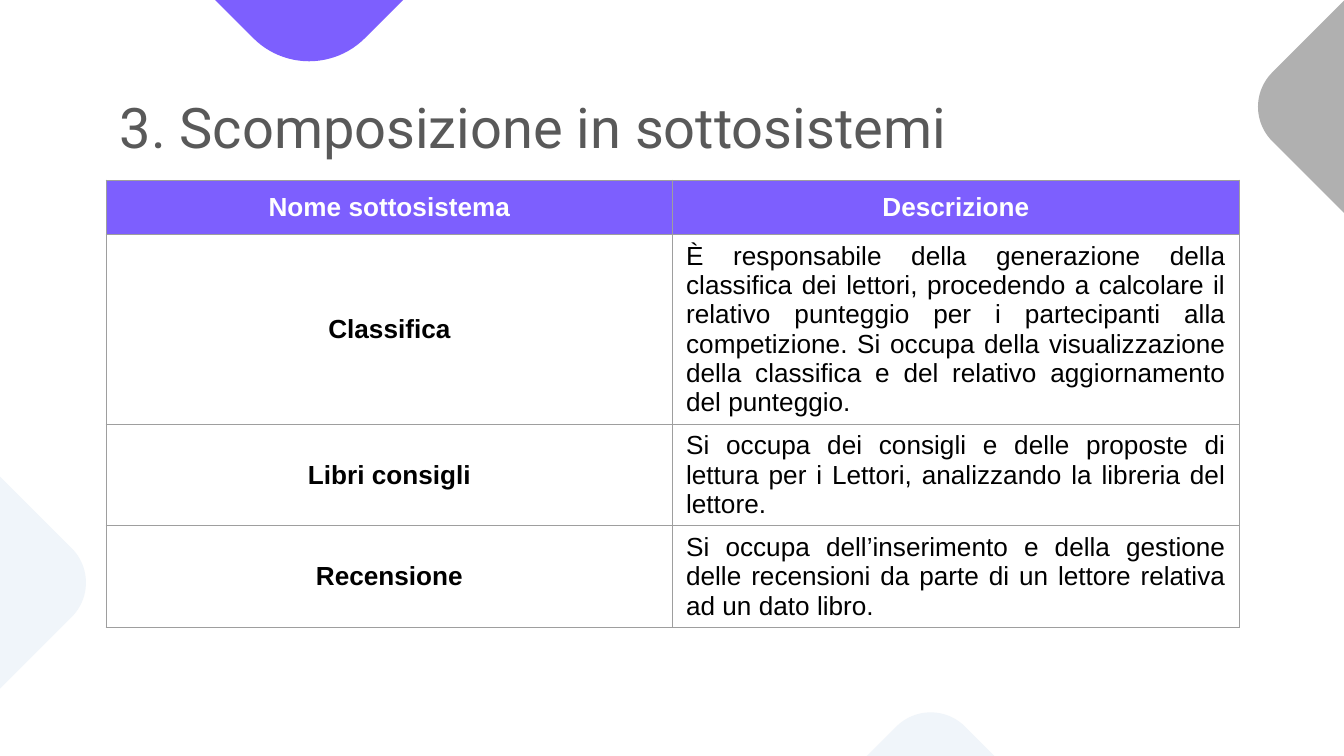
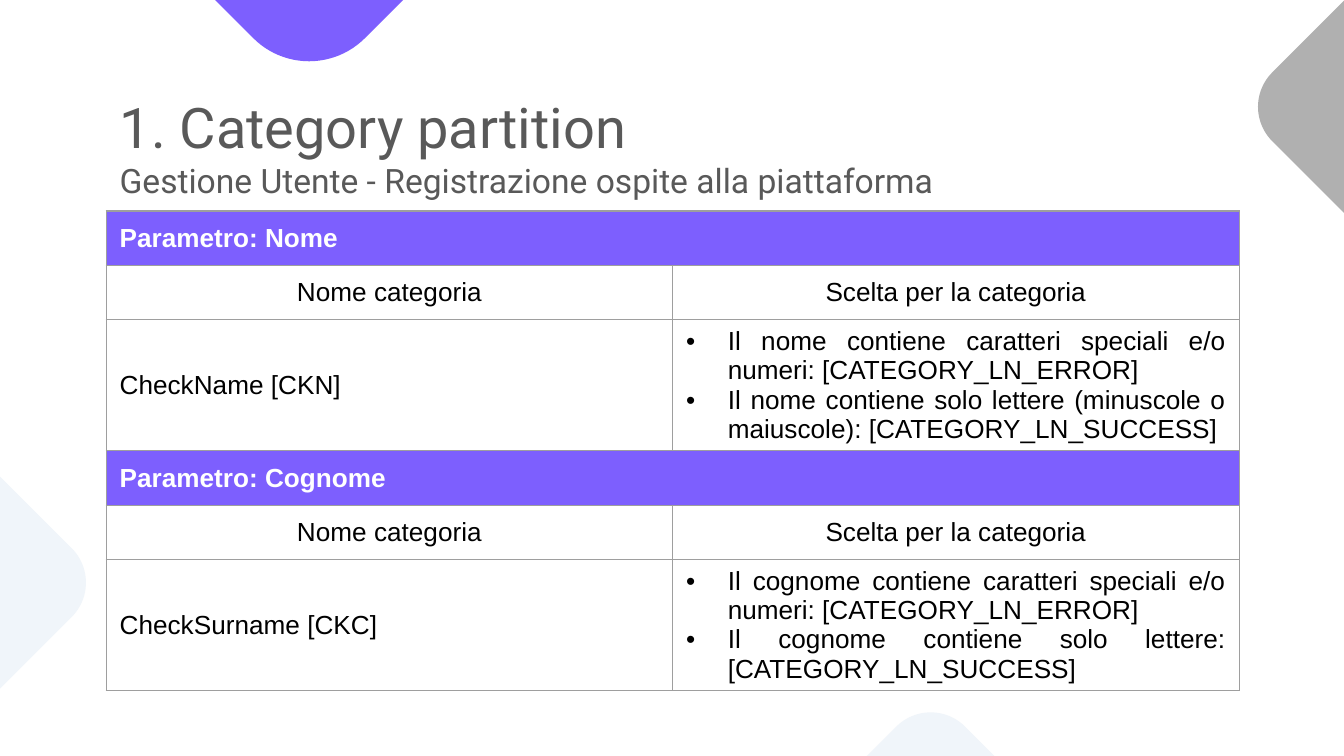
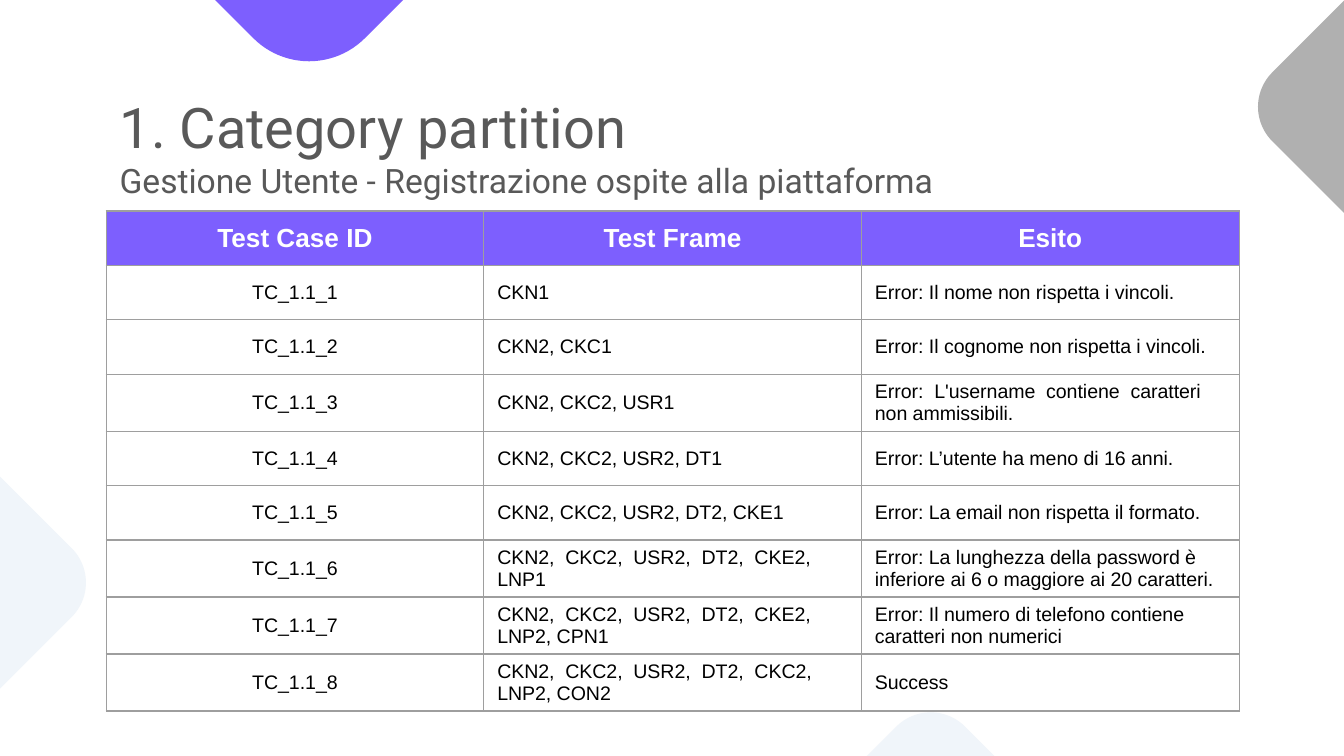
from dataclasses import dataclass
from typing import NamedTuple

from lxml import etree
from pptx import Presentation
from pptx import util as u
from pptx.dml.color import RGBColor
from pptx.enum import shapes, text
from pptx.oxml import ns

COLORS = {
    "violet": "7D5FFE",
    "grey": "B0B0B0",
    "mist": "F0F5FA",
    "title": "595959",
    "border": "9E9E9E",
    "white": "FFFFFF",
    "black": "000000",
}
TITLE_FONT, TABLE_FONT = "Roboto", "Arial"
SLIDE_WIDTH = u.Inches(10)
SLIDE_HEIGHT = SLIDE_WIDTH * 9 // 16
LEFT, TITLE_TOP, WIDTH = u.Inches(0.79), u.Inches(0.59), u.Inches(8.43)
ROW_HEIGHT = u.Inches(0.81) // 2
BULLET_INDENT = u.Inches(0.31)
CENTER, START, JUSTIFY = text.PP_ALIGN.CENTER, text.PP_ALIGN.LEFT, text.PP_ALIGN.JUSTIFY


class Diamond(NamedTuple):
    left: float
    top: float
    side: float
    color: str


class Look(NamedTuple):
    align: text.PP_ALIGN
    bold: bool = False
    color: str = "black"
    fill: str = ""
    size: float = 14
    bulleted: bool = False


class Entry(NamedTuple):
    look: Look
    lines: tuple[str, ...]


@dataclass
class Page:
    title: str
    subtitle: str
    title_height: float
    table_top: float
    columns: int
    rows: list[list[Entry]]


DIAMONDS = [
    Diamond(0.54, -3.55, 3.52, "violet"),
    Diamond(9.66, -0.29, 2.17, "grey"),
    Diamond(-1.83, 3.25, 2.17, "mist"),
    Diamond(5.84, 5.6, 2.17, "mist"),
]

HEADER = Look(CENTER, True, "white", "violet")
PARAMETER = HEADER._replace(align=START)
NAME = Look(CENTER, True)
DESCRIPTION = Look(JUSTIFY)
CATEGORY_HEADING = Look(CENTER)
CATEGORY = Look(START)
CHOICES = Look(JUSTIFY, bulleted=True)
CASE_ID = Look(CENTER, size=10.5)
CASE_DETAIL = Look(START, size=10.5)

SUBSYSTEMS = [
    ("Classifica",
     "È responsabile della generazione della classifica dei lettori, procedendo a "
     "calcolare il relativo punteggio per i partecipanti alla competizione. Si occupa "
     "della visualizzazione della classifica e del relativo aggiornamento del punteggio."),
    ("Libri consigli",
     "Si occupa dei consigli e delle proposte di lettura per i Lettori, analizzando la "
     "libreria del lettore."),
    ("Recensione",
     "Si occupa dell’inserimento e della gestione delle recensioni da parte di un lettore "
     "relativa ad un dato libro."),
]

PARAMETERS = [
    ("Nome", "CheckName [CKN]",
     ("Il nome contiene caratteri speciali e/o numeri: [CATEGORY_LN_ERROR]",
      "Il nome contiene solo lettere (minuscole o maiuscole): [CATEGORY_LN_SUCCESS]")),
    ("Cognome", "CheckSurname [CKC]",
     ("Il cognome contiene caratteri speciali e/o numeri: [CATEGORY_LN_ERROR]",
      "Il cognome contiene solo lettere: [CATEGORY_LN_SUCCESS]")),
]

TEST_CASES = [
    ("CKN1", "Error: Il nome non rispetta i vincoli."),
    ("CKN2, CKC1", "Error: Il cognome non rispetta i vincoli."),
    ("CKN2, CKC2, USR1", "Error:  L'username  contiene  caratteri  non ammissibili."),
    ("CKN2, CKC2, USR2, DT1", "Error: L’utente ha meno di 16 anni."),
    ("CKN2, CKC2, USR2, DT2, CKE1", "Error: La email non rispetta il formato."),
    ("CKN2,  CKC2,  USR2,  DT2,  CKE2, LNP1",
     "Error: La lunghezza della password è inferiore ai 6 o maggiore ai 20 caratteri."),
    ("CKN2,  CKC2,  USR2,  DT2,  CKE2, LNP2, CPN1",
     "Error: Il numero di telefono contiene caratteri non numerici"),
    ("CKN2,  CKC2,  USR2,  DT2,  CKC2, LNP2, CON2", "Success"),
]


def entries(looks: list[Look], *words: str) -> list[Entry]:
    return [Entry(look, (word,)) for look, word in zip(looks, words)]


def subsystem_rows() -> list[list[Entry]]:
    heading = entries([HEADER] * 2, "Nome sottosistema", "Descrizione")
    return [heading] + [entries([NAME, DESCRIPTION], *pair) for pair in SUBSYSTEMS]


def parameter_rows() -> list[list[Entry]]:
    rows = []
    for parameter, category, choices in PARAMETERS:
        rows += [
            entries([PARAMETER], f"Parametro: {parameter}"),
            entries([CATEGORY_HEADING] * 2, "Nome categoria", "Scelta per la categoria"),
            [Entry(CATEGORY, (category,)), Entry(CHOICES, choices)],
        ]
    return rows


def test_case_rows() -> list[list[Entry]]:
    heading = entries([HEADER] * 3, "Test Case ID", "Test Frame", "Esito")
    looks = [CASE_ID, CASE_DETAIL, CASE_DETAIL]
    return [heading] + [
        entries(looks, f"TC_1.1_{number}", frame, outcome)
        for number, (frame, outcome) in enumerate(TEST_CASES, 1)
    ]


def rgb(name: str) -> RGBColor:
    return RGBColor.from_string(COLORS[name])


def add_color(parent, name: str) -> None:
    etree.SubElement(parent, ns.qn("a:srgbClr"), val=COLORS[name])


def decorate_master(deck, slide) -> None:
    tree = deck.slide_master.shapes.element
    for order, diamond in enumerate(DIAMONDS):
        side = u.Inches(diamond.side)
        shape = slide.shapes.add_shape(
            shapes.MSO_SHAPE.ROUNDED_RECTANGLE,
            u.Inches(diamond.left), u.Inches(diamond.top), side, side)
        shape.rotation = 315
        shape.shadow.inherit = False
        shape.fill.solid()
        shape.fill.fore_color.rgb = rgb(diamond.color)
        shape.line.fill.background()
        shape.element.nvSpPr.cNvPr.set("id", str(100 + order))
        tree.insert(2 + order, shape.element)


def write_title(slide, page: Page) -> None:
    title = slide.shapes.title
    title.left, title.top = LEFT, TITLE_TOP
    title.width, title.height = WIDTH, u.Inches(page.title_height)
    frame = title.text_frame
    frame.word_wrap = True
    frame.auto_size = text.MSO_AUTO_SIZE.NONE
    frame.vertical_anchor = text.MSO_ANCHOR.TOP
    frame.margin_left = frame.margin_right = u.Inches(0.1)
    frame.margin_top = frame.margin_bottom = u.Inches(0.1)
    paragraph = frame.paragraphs[0]
    paragraph.alignment = START
    paragraph.font.name = TITLE_FONT
    paragraph.font.size = u.Pt(30)
    paragraph.font.color.rgb = rgb("title")
    paragraph.add_run().text = page.title
    if page.subtitle:
        paragraph.add_line_break()
        subtitle = paragraph.add_run()
        subtitle.text = page.subtitle
        subtitle.font.size = u.Pt(18)


def add_bullet(paragraph) -> None:
    properties = paragraph._p.get_or_add_pPr()
    properties.set("marL", str(BULLET_INDENT))
    properties.set("indent", str(-BULLET_INDENT))
    marks = [etree.Element(ns.qn("a:buClr")),
             etree.Element(ns.qn("a:buFont"), typeface=TABLE_FONT),
             etree.Element(ns.qn("a:buChar"), char="•")]
    add_color(marks[0], "black")
    for position, mark in enumerate(marks):
        properties.insert(position, mark)


def style_cell(cell, look: Look) -> None:
    properties = cell._tc.get_or_add_tcPr()
    for side in ("a:lnL", "a:lnR", "a:lnT", "a:lnB"):
        border = etree.SubElement(properties, ns.qn(side), w=str(u.Pt(0.75)))
        add_color(etree.SubElement(border, ns.qn("a:solidFill")), "border")
    if look.fill:
        cell.fill.solid()
        cell.fill.fore_color.rgb = rgb(look.fill)
    else:
        cell.fill.background()
    cell.vertical_anchor = text.MSO_ANCHOR.MIDDLE


def write_cell(cell, entry: Entry) -> None:
    look = entry.look
    cell.text = "\n".join(entry.lines)
    for paragraph in cell.text_frame.paragraphs:
        paragraph.alignment = look.align
        if look.bulleted:
            add_bullet(paragraph)
        paragraph.font.name = TABLE_FONT
        paragraph.font.size = u.Pt(look.size)
        paragraph.font.bold = look.bold
        paragraph.font.color.rgb = rgb(look.color)


def draw_table(slide, page: Page) -> None:
    count = len(page.rows)
    table = slide.shapes.add_table(
        count, page.columns, LEFT, u.Inches(page.table_top),
        WIDTH, ROW_HEIGHT * count).table
    table.first_row = table.horz_banding = False
    for row_index, row in enumerate(page.rows):
        cells = [table.cell(row_index, column) for column in range(page.columns)]
        for column, cell in enumerate(cells):
            style_cell(cell, row[min(column, len(row) - 1)].look)
        if len(row) == 1:
            cells[0].merge(cells[-1])
        for cell, entry in zip(cells, row):
            write_cell(cell, entry)


def main() -> None:
    partition = "1. Category partition"
    registration = "Gestione Utente - Registrazione ospite alla piattaforma"
    pages = [
        Page("3. Scomposizione in sottosistemi", "", 0.69, 1.34, 2, subsystem_rows()),
        Page(partition, registration, 0.98, 1.57, 2, parameter_rows()),
        Page(partition, registration, 0.98, 1.57, 3, test_case_rows()),
    ]
    deck = Presentation()
    deck.slide_width, deck.slide_height = SLIDE_WIDTH, SLIDE_HEIGHT
    title_only = deck.slide_layouts[5]
    for page in pages:
        slide = deck.slides.add_slide(title_only)
        write_title(slide, page)
        draw_table(slide, page)
    decorate_master(deck, deck.slides[0])
    deck.save("out.pptx")


if __name__ == "__main__":
    main()
